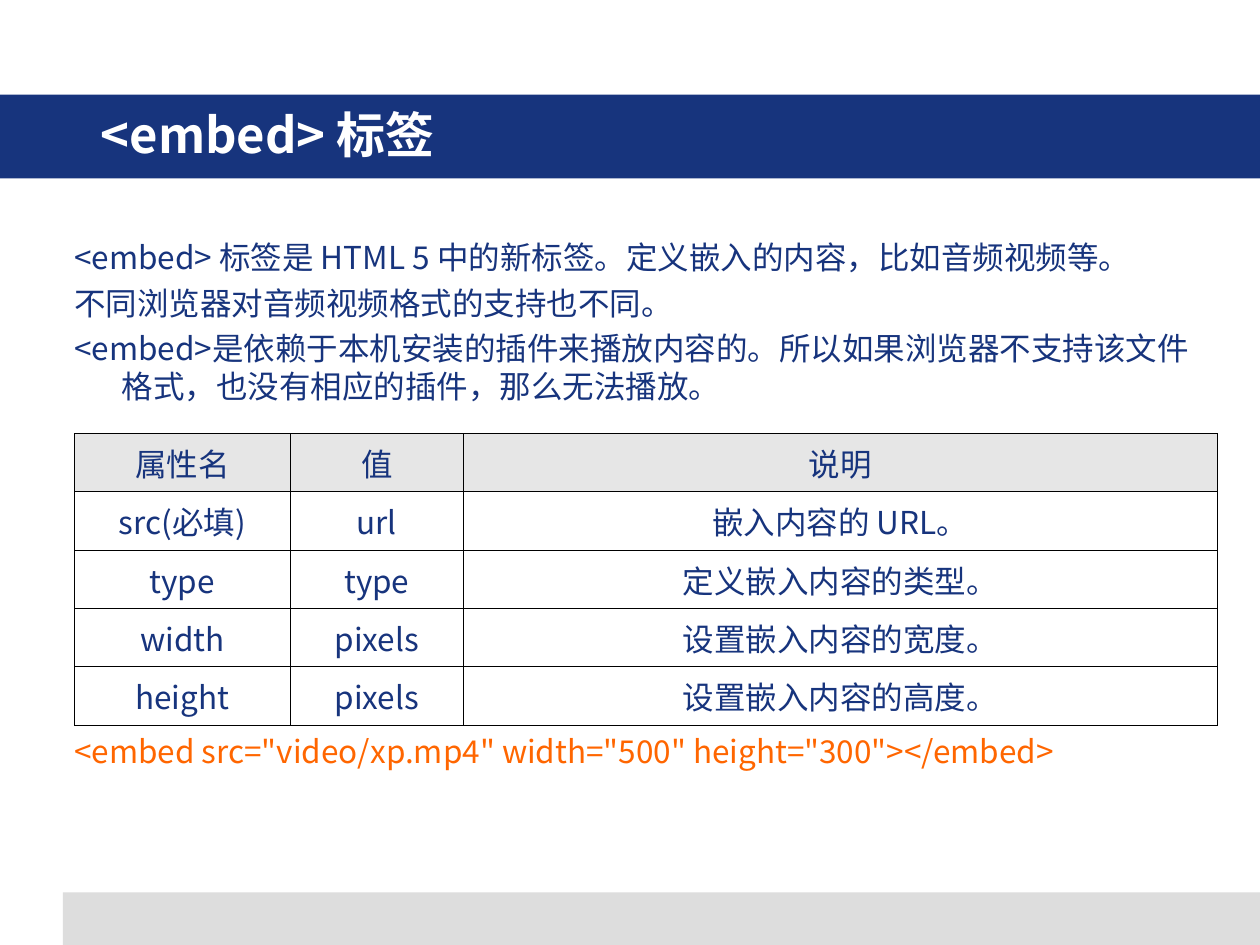
from lxml import etree
from pptx import Presentation
from pptx.dml.color import RGBColor
from pptx.enum import shapes, text
from pptx.oxml import ns
from pptx.util import Pt

NAVY = RGBColor(0x17, 0x34, 0x7D)
ORANGE = RGBColor(0xFF, 0x66, 0x00)
WHITE = RGBColor(0xFF, 0xFF, 0xFF)
GREY = RGBColor(0xDD, 0xDD, 0xDD)
PALE = RGBColor(0xE6, 0xE6, 0xE6)
FONT = "Noto Sans CJK SC"
LEFT, WIDE = 42.5, 653.1


def write(frame, lines, size=18, color=NAVY, bold=False, align=None, pitch=None, hang=0):
    """Fill a text frame, one paragraph a line; pitch and hang are in points."""
    frame.word_wrap = True
    for i, line in enumerate(lines):
        para = frame.add_paragraph() if i else frame.paragraphs[0]
        para.alignment = align
        if pitch:
            para.line_spacing = Pt(pitch)
        if i:
            para.space_before = Pt(4.5)
        if hang:
            props = para._p.get_or_add_pPr()
            props.set("marL", str(Pt(hang)))
            props.set("indent", str(-Pt(hang)))
        run = para.add_run()
        run.text = line
        font = run.font
        font.name, font.size, font.bold = FONT, Pt(size), bold
        font.color.rgb = color
        east = etree.SubElement(font._element, ns.qn("a:ea"))
        east.set("typeface", FONT)


deck = Presentation()
deck.slide_width, deck.slide_height = Pt(720), Pt(540)
slide = deck.slides.add_slide(deck.slide_layouts[6])

# Footer and title bands
for x, y, w, h, fill in [(36, 510, 684, 30, GREY), (0, 54, 720, 48, NAVY)]:
    band = slide.shapes.add_shape(shapes.MSO_SHAPE.RECTANGLE, Pt(x), Pt(y), Pt(w), Pt(h))
    band.shadow.inherit = False
    band.fill.solid()
    band.fill.fore_color.rgb = fill
    band.line.fill.background()

# Title, body and code sample
intro = [
    "<embed> 标签是 HTML 5 中的新标签。定义嵌入的内容，比如音频视频等。",
    "不同浏览器对音频视频格式的支持也不同。",
    "<embed>是依赖于本机安装的插件来播放内容的。所以如果浏览器不支持该文件格式，也没有相应的插件，那么无法播放。",
]
code = ['<embed src="video/xp.mp4" width="500" height="300"></embed>']
for x, y, w, h, lines, form in [
    (57.6, 57.6, 614, 34, ["<embed> 标签"], dict(size=28, color=WHITE, bold=True, pitch=35.5)),
    (LEFT, 136, WIDE, 100, intro, dict(pitch=21.6, hang=27)),
    (LEFT, 418.3, WIDE, 22, code, dict(color=ORANGE, pitch=21.6, hang=27)),
]:
    frame = slide.shapes.add_textbox(Pt(x), Pt(y), Pt(w), Pt(h)).text_frame
    frame.margin_left = frame.margin_right = frame.margin_top = frame.margin_bottom = 0
    write(frame, lines, **form)

# Attribute table
rows = [
    ("属性名", "值", "说明"),
    ("src(必填)", "url", "嵌入内容的 URL。"),
    ("type", "type", "定义嵌入内容的类型。"),
    ("width", "pixels", "设置嵌入内容的宽度。"),
    ("height", "pixels", "设置嵌入内容的高度。"),
]
high = 33.35
grid = slide.shapes.add_table(len(rows), 3, Pt(LEFT), Pt(247.7), Pt(WIDE), Pt(high * len(rows))).table
for col, w in zip(grid.columns, (123.4, 98.9, 430.8)):
    col.width = Pt(w)
for r, row in enumerate(rows):
    grid.rows[r].height = Pt(high)
    for c, word in enumerate(row):
        cell = grid.cell(r, c)
        cell.vertical_anchor = text.MSO_ANCHOR.MIDDLE
        cell.margin_left = cell.margin_right = Pt(5.8)
        cell.margin_top = cell.margin_bottom = Pt(3.6)
        write(cell.text_frame, [word], align=text.PP_ALIGN.CENTER)
        props = cell._tc.get_or_add_tcPr()
        for side in ("L", "R", "T", "B"):
            edge = etree.SubElement(props, ns.qn("a:ln" + side), w=str(Pt(0.45)))
            paint = etree.SubElement(edge, ns.qn("a:solidFill"))
            etree.SubElement(paint, ns.qn("a:srgbClr"), val="000000")
        if r == 0:
            cell.fill.solid()
            cell.fill.fore_color.rgb = PALE
        else:
            cell.fill.background()

deck.save("out.pptx")
